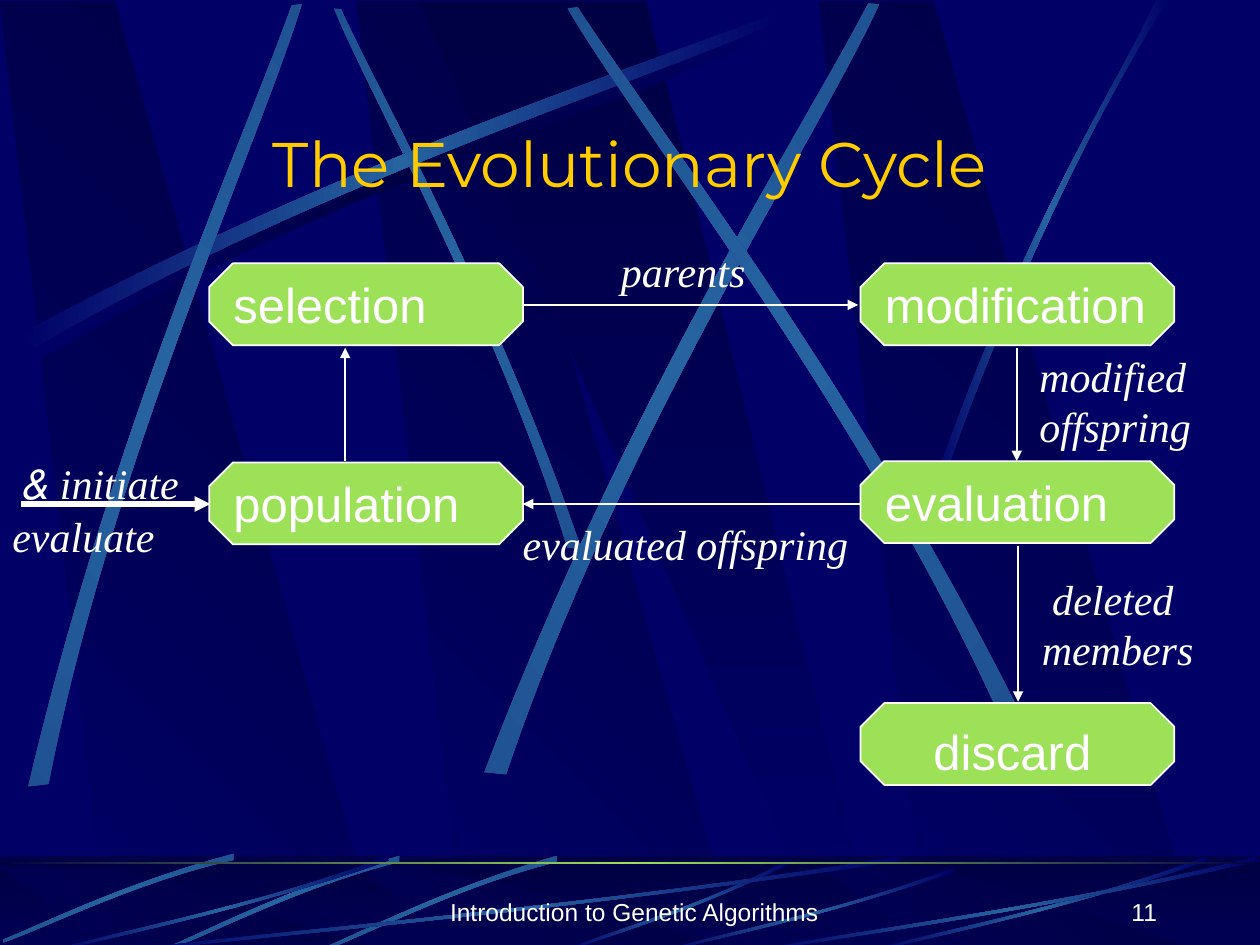
from dataclasses import dataclass

import lxml.etree
import pptx
import pptx.dml.color
import pptx.enum.shapes
import pptx.enum.text
import pptx.oxml
import pptx.oxml.ns
import pptx.util

COLORS = {"navy": "000066", "night": "000044", "streak": "2663A0", "haze": "1C4A8C",
          "green": "9CE157", "white": "FFFFFF", "gold": "FFCC00"}
WIDTH, HEIGHT = pptx.util.Inches(10), pptx.util.Inches(7.5)
COLS, ROWS = 10, 7.5  # the slide is a grid of square cells
CELL = WIDTH / COLS
SHAPES = pptx.enum.shapes.MSO_SHAPE
ALIGN = pptx.enum.text.PP_ALIGN
ANCHOR = pptx.enum.text.MSO_ANCHOR
qn = pptx.oxml.ns.qn

# Each outline is two cubic curves, as shares of the streak's own box.
LONG = [(0, .96), (.43, .43), (.83, .15), (.99, 0),
        (1, .02), (.84, .19), (.39, .5), (.02, 1)]
STEEP = [(0, .99), (.4, .44), (.79, .17), (.95, 0),
         (1, 0), (.52, .36), (.16, .81), (.03, 1)]
LOW = [(0, .99), (.16, .81), (.62, .51), (.99, 0),
       (1, .04), (.57, .57), (.17, .85), (.01, 1)]


@dataclass
class Streak:
    outline: list
    box: tuple
    rotation: float = 0
    flip: bool = False
    core: str = "streak"


@dataclass
class Label:
    text: str
    box: tuple
    size: int = 24
    font: str = "Times New Roman"
    align: object = ALIGN.LEFT
    anchor: object = ANCHOR.TOP
    wrap: bool = False
    rtl: bool = False


@dataclass
class Arrow:
    start: tuple
    end: tuple
    width: float = 1


BAND_LEFTS = (2.83, 0, 6.5)
BAND = [(.86, 1), (3.02, 1), (.91, 0), (0, 0)]
WEDGE = [(3.33, 0), (6.58, 1), (6.94, 1), (5.13, 0)]

STREAKS = [
    Streak(LONG, (.2, .18, 6.08, 2.67), core="night"),
    Streak(LONG, (1.41, 1.35, 4.42, 1.75), 45, True),
    Streak(LONG, (.14, .1, 6.08, 2.67)),
    Streak(LONG, (-1.71, 1.82, 6.08, 2.67), 311.7),
    Streak(LONG, (2.31, 1.6, 6.24, 3.01), 321.6),
    Streak(LONG, (3.23, 1.52, 6.08, 2.67), 34.8, True),
    Streak(STEEP, (7.38, 0, 1.89, 3.97)),
]
FOOTER_TOP, FOOTER_H = 6.8, .75
FOOTER_STREAKS = [
    Streak(LOW, (4.48, 6.82, 1.8, .73)),
    Streak(LONG, (2.58, 6.76, 1.84, .83), 314.9, True),
    Streak(LONG, (1.33, 6.76, 1.84, .83), 314.9, True),
    Streak(LONG, (.05, 6.71, 1.79, .85), 314.9, True),
    Streak(LOW, (1, FOOTER_TOP, 6.17, FOOTER_H)),
    Streak(LOW, (.42, FOOTER_TOP, 2.67, FOOTER_H)),
    Streak(LOW, (5.27, 6.89, 2.31, .66)),
    Streak(LOW, (6.92, FOOTER_TOP, 2.67, FOOTER_H)),
    Streak(LOW, (6, FOOTER_TOP, 4, FOOTER_H)),
]

BOX_W, BOX_H = 2.49, .65
LEFT, RIGHT = 1.66, 6.83
TOP, MIDDLE, BOTTOM = 2.09, 3.67, 5.58
STAGES = [("selection", LEFT, TOP), ("population", LEFT, MIDDLE),
          ("evaluation", RIGHT, MIDDLE - .01), ("modification", RIGHT, TOP),
          ("", RIGHT, BOTTOM)]
ARROWS = [
    Arrow((LEFT + BOX_W + .01, 2.42), (RIGHT - .02, 2.42)),
    Arrow((2.74, MIDDLE - .01), (2.74, 2.76)),
    Arrow((8.08, 4.33), (8.08, BOTTOM - .01)),
    Arrow((RIGHT, 4), (LEFT + BOX_W, 4)),
    Arrow((8.07, 2.76), (8.07, MIDDLE - .01)),
    Arrow((.17, 4), (1.67, 4), 3),
]
LABELS = [
    Label("discard", (7.31, 5.68, 1.45, .56), 28, "Arial"),
    Label(" deleted\nmembers", (8.17, 4.5, 1.4, .9)),
    Label("parents", (4.83, 1.9, 1.2, .5)),
    Label("modified\noffspring", (8.15, 2.73, 1.41, .9)),
    Label("evaluated offspring", (4.05, 4.07, 2.78, .5)),
    Label("initiate &", (0, 3.58, 1.58, .5), align=ALIGN.CENTER, wrap=True, rtl=True),
    Label("evaluate", (0, 4, 1.67, .5), wrap=True),
    Label("Introduction to Genetic Algorithms", (3.45, 6.9, 3.17, .5), 14, "Arial",
          ALIGN.CENTER, ANCHOR.BOTTOM, True),
    Label("11", (7.2, 6.9, 2.08, .5), 14, "Arial", ALIGN.RIGHT, ANCHOR.BOTTOM, True),
]


def rgb(name: str) -> pptx.dml.color.RGBColor:
    return pptx.dml.color.RGBColor.from_string(COLORS[name])


def emu(*cells: float) -> list:
    return [round(c * CELL) for c in cells]


def fill_gradient(sp, names: tuple, angle: float) -> None:
    """Fill with evenly spaced colours and no outline."""
    sp.shadow.inherit = False
    sp.line.fill.background()
    sp.fill.gradient()
    grad = sp._element.spPr.find(qn("a:gradFill"))
    stops = "".join(
        f'<a:gs pos="{100000 * i // (len(names) - 1)}"><a:srgbClr val="{COLORS[n]}"/></a:gs>'
        for i, n in enumerate(names))
    new = pptx.oxml.parse_xml(
        f'<a:gradFill {pptx.oxml.ns.nsdecls("a")} rotWithShape="1"><a:gsLst>{stops}</a:gsLst>'
        f'<a:lin ang="{round(angle * 60000)}" scaled="1"/></a:gradFill>')
    grad.getparent().replace(grad, new)


def add_outline(s, points: list):
    pts = [emu(*p) for p in points]
    builder = s.shapes.build_freeform(*pts[0], scale=1.0)
    builder.add_line_segments(pts[1:], close=True)
    return builder.convert_to_shape()


def bend(sp) -> None:
    """Turn the eight corners into two cubic curves joined by straight ends."""
    lines = list(sp._element.iter(qn("a:lnTo")))
    for trio in (lines[:3], lines[4:7]):
        cubic = lxml.etree.Element(qn("a:cubicBezTo"))
        trio[0].addprevious(cubic)
        for line in trio:
            cubic.append(line[0])
            line.getparent().remove(line)


def add_streak(s, streak: Streak) -> None:
    x, y, w, h = streak.box
    sp = add_outline(s, [(x + w * (1 - u if streak.flip else u), y + h * v)
                         for u, v in streak.outline])
    bend(sp)
    sp.rotation = streak.rotation
    edge = "haze" if streak.rotation else "navy"
    fill_gradient(sp, (edge, streak.core, edge), 0)


def add_bands(s, top: float, height: float) -> None:
    for left in BAND_LEFTS:
        sp = add_outline(s, [(left + x, top + height * y) for x, y in BAND])
        fill_gradient(sp, ("navy", "night"), 315)
    sp = add_outline(s, [(x, top + height * y) for x, y in WEDGE])
    fill_gradient(sp, ("night", "navy"), 90)


def add_bar(s, top: float, height: float):
    return s.shapes.add_shape(SHAPES.RECTANGLE, *emu(0, top, COLS, height))


def add_background(s) -> None:
    add_bands(s, .01, ROWS)
    for streak in STREAKS:
        add_streak(s, streak)
    fill_gradient(add_bar(s, FOOTER_TOP, FOOTER_H), ("night", "navy"), 90)
    add_bands(s, FOOTER_TOP + .08, .66)
    veil = add_bar(s, FOOTER_TOP - .01, FOOTER_H)
    veil.shadow.inherit = False
    veil.line.fill.background()
    veil.fill.solid()
    veil.fill.fore_color.rgb = rgb("night")
    color = veil._element.spPr.find(".//" + qn("a:srgbClr"))
    lxml.etree.SubElement(color, qn("a:alpha"), val="50000")
    for streak in FOOTER_STREAKS:
        add_streak(s, streak)
    fill_gradient(add_bar(s, FOOTER_TOP + .04, .02), ("night", "green", "night"), 0)


def write(sp, text: str, size: int, font: str, color: str, align, anchor, wrap: bool) -> None:
    tf = sp.text_frame
    tf.text = text
    tf.word_wrap = wrap
    tf.vertical_anchor = anchor
    for p in tf.paragraphs:
        p.alignment = align
        for r in p.runs:
            r.font.size, r.font.name = pptx.util.Pt(size), font
            r.font.color.rgb = rgb(color)
            r.font.italic = font == "Times New Roman"


def add_label(s, label: Label) -> None:
    sp = s.shapes.add_textbox(*emu(*label.box))
    write(sp, label.text, label.size, label.font, "white", label.align, label.anchor, label.wrap)
    if not label.wrap:
        sp.text_frame.auto_size = pptx.enum.text.MSO_AUTO_SIZE.SHAPE_TO_FIT_TEXT
    if label.rtl:
        sp.text_frame.paragraphs[0]._p.get_or_add_pPr().set("rtl", "1")


def add_stage(s, name: str, left: float, top: float) -> None:
    sp = s.shapes.add_shape(SHAPES.OCTAGON, *emu(left, top, BOX_W, BOX_H))
    sp.shadow.inherit = False
    sp.adjustments[0] = .29
    sp.fill.solid()
    sp.fill.fore_color.rgb = rgb("green")
    sp.line.color.rgb = rgb("white")
    sp.line.width = pptx.util.Pt(1)
    if name:
        write(sp, name, 28, "Arial", "white", ALIGN.LEFT, ANCHOR.MIDDLE, False)


def add_arrow(s, arrow: Arrow) -> None:
    sp = s.shapes.add_connector(pptx.enum.shapes.MSO_CONNECTOR.STRAIGHT,
                                *emu(*arrow.start, *arrow.end))
    sp.line.color.rgb = rgb("white")
    sp.line.width = pptx.util.Pt(arrow.width)
    lxml.etree.SubElement(sp.line._get_or_add_ln(), qn("a:tailEnd"), type="triangle")
    lxml.etree.SubElement(sp._element.spPr, qn("a:effectLst"))


def main() -> None:
    prs = pptx.Presentation()
    prs.slide_width, prs.slide_height = WIDTH, HEIGHT
    s = prs.slides.add_slide(prs.slide_layouts[5])
    s.background.fill.solid()
    s.background.fill.fore_color.rgb = rgb("navy")
    add_background(s)
    title = s.shapes.title
    title.left, title.top, title.width, title.height = emu(.75, .94, 8.5, .7)
    write(title, "The Evolutionary Cycle", 36, "Montserrat", "gold",
          ALIGN.CENTER, ANCHOR.MIDDLE, True)
    title._element.getparent().append(title._element)  # bring in front of the background
    for stage in STAGES:
        add_stage(s, *stage)
    for arrow in ARROWS:
        add_arrow(s, arrow)
    for label in LABELS:
        add_label(s, label)
    prs.save("out.pptx")


if __name__ == "__main__":
    main()
